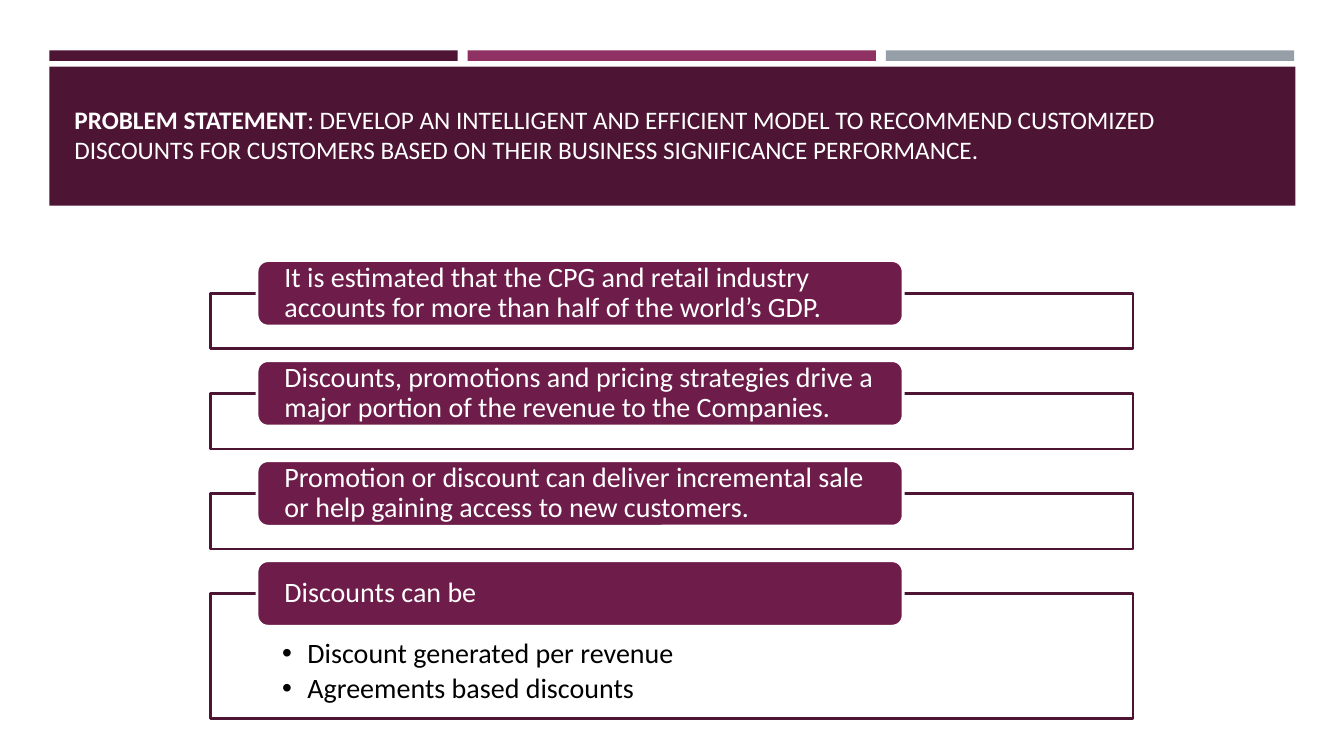
from lxml import etree
from pptx import Presentation
from pptx import util as u
from pptx.dml.color import RGBColor
from pptx.enum import shapes, text
from pptx.oxml.ns import qn

PLUM, MAGENTA, GREY = "4D1434", "903163", "969FA7"
LABEL, WHITE, BLACK = "6E1D4A", "FFFFFF", "000000"


def rgb(code):
    return RGBColor.from_string(code)


class Page:
    """Holds the style and the current slide; lengths are columns and rows."""
    COLS, ROWS = 40, 30
    FONT = "Calibri"

    def __init__(self, prs):
        self.s = prs.slides.add_slide(prs.slide_layouts[6])
        self.col = prs.slide_width / self.COLS
        self.row = prs.slide_height / self.ROWS

    def place(self, x, y, w, h):
        return [int(n) for n in (x * self.col, y * self.row, w * self.col, h * self.row)]

    def box(self, at, fill, line=None, width=1, alpha=None, rounded=False):
        kinds = shapes.MSO_SHAPE
        kind = kinds.ROUNDED_RECTANGLE if rounded else kinds.RECTANGLE
        sp = self.s.shapes.add_shape(kind, *self.place(*at))
        sp.shadow.inherit = False
        sp.fill.solid()
        sp.fill.fore_color.rgb = rgb(fill)
        if alpha:
            color = sp.fill._xPr.find(".//" + qn("a:srgbClr"))
            etree.SubElement(color, qn("a:alpha"), val=str(alpha * 1000))
        if line:
            sp.line.color.rgb = rgb(line)
            sp.line.width = u.Pt(width)
        else:
            sp.line.fill.background()
        return sp

    def textbox(self, at):
        return self.s.shapes.add_textbox(*self.place(*at))

    def frame(self, sp, anchor, insets):
        tf = sp.text_frame
        tf.word_wrap = True
        tf.vertical_anchor = anchor
        left, top, right, bottom = (u.Inches(n) for n in insets)
        tf.margin_left, tf.margin_top = left, top
        tf.margin_right, tf.margin_bottom = right, bottom
        return tf

    def style(self, p, size, color, spacing=1.0, after=0):
        p.alignment = text.PP_ALIGN.LEFT
        p.line_spacing = spacing
        p.space_after = u.Pt(after)
        for r in p.runs:
            r.font.name = self.FONT
            r.font.size = u.Pt(size)
            r.font.color.rgb = rgb(color)

    def title(self, at, lead, rest):
        tf = self.frame(self.textbox(at), text.MSO_ANCHOR.BOTTOM, (0.1, 0.05, 0.1, 0.05))
        p = tf.paragraphs[0]
        for words, bold in ((lead, True), (rest, False)):
            r = p.add_run()
            r.text = words
            r.font.bold = bold
        self.style(p, 18, WHITE)

    def label(self, at, words):
        sp = self.box(at, LABEL, WHITE, 2, rounded=True)
        tf = self.frame(sp, text.MSO_ANCHOR.MIDDLE, (0.24, 0, 0.24, 0))
        tf.text = words
        self.style(tf.paragraphs[0], 20, WHITE, 0.9)

    def bullets(self, sp, items):
        tf = self.frame(sp, text.MSO_ANCHOR.TOP, (0.71, 0.46, 0.71, 0.16))
        tf.text = "\n".join(items)
        for p in tf.paragraphs:
            self.style(p, 20, BLACK, 0.9, 3)
            pPr = p._p.get_or_add_pPr()
            pPr.set("marL", str(u.Inches(0.25)))
            pPr.set("indent", str(-u.Inches(0.25)))
            etree.SubElement(pPr, qn("a:buFont"), typeface="Arial")
            etree.SubElement(pPr, qn("a:buChar"), char="•")


POINTS = [
    ("It is estimated that the CPG and retail industry accounts for more than "
     "half of the world’s GDP.", []),
    ("Discounts, promotions and pricing strategies drive a major portion of the "
     "revenue to the Companies.", []),
    ("Promotion or discount can deliver incremental sale or help gaining access "
     "to new customers.", []),
    ("Discounts can be",
     ["Discount generated per revenue", "Agreements based discounts"]),
]


def main():
    prs = Presentation()
    prs.slide_width, prs.slide_height = u.Inches(13.33), u.Inches(7.5)
    page = Page(prs)

    # Accent bars
    for i, color in enumerate((PLUM, MAGENTA, GREY)):
        page.box((1.47 + 12.45 * i, 2, 12.15, 0.42), color)

    # Title band
    page.box((1.47, 2.64, 37.08, 5.52), PLUM)
    page.title((1.92, 2.4, 36.18, 4.32), "PROBLEM STATEMENT",
               ": DEVELOP AN INTELLIGENT AND EFFICIENT MODEL TO RECOMMEND CUSTOMIZED "
               "DISCOUNTS FOR CUSTOMERS BASED ON THEIR BUSINESS SIGNIFICANCE PERFORMANCE.")

    # Framed points, each label centred on the top edge of its frame
    top, gap, label_height = 11.64, 1.77, 2.6
    for words, items in POINTS:
        height = 4.96 if items else 2.2
        sp = page.box((6.27, top, 27.45, height), WHITE, PLUM, 1.75, alpha=90)
        if items:
            page.bullets(sp, items)
        page.label((7.65, top - label_height / 2, 19.23, label_height), words)
        top += height + gap

    prs.save("out.pptx")


if __name__ == "__main__":
    main()
